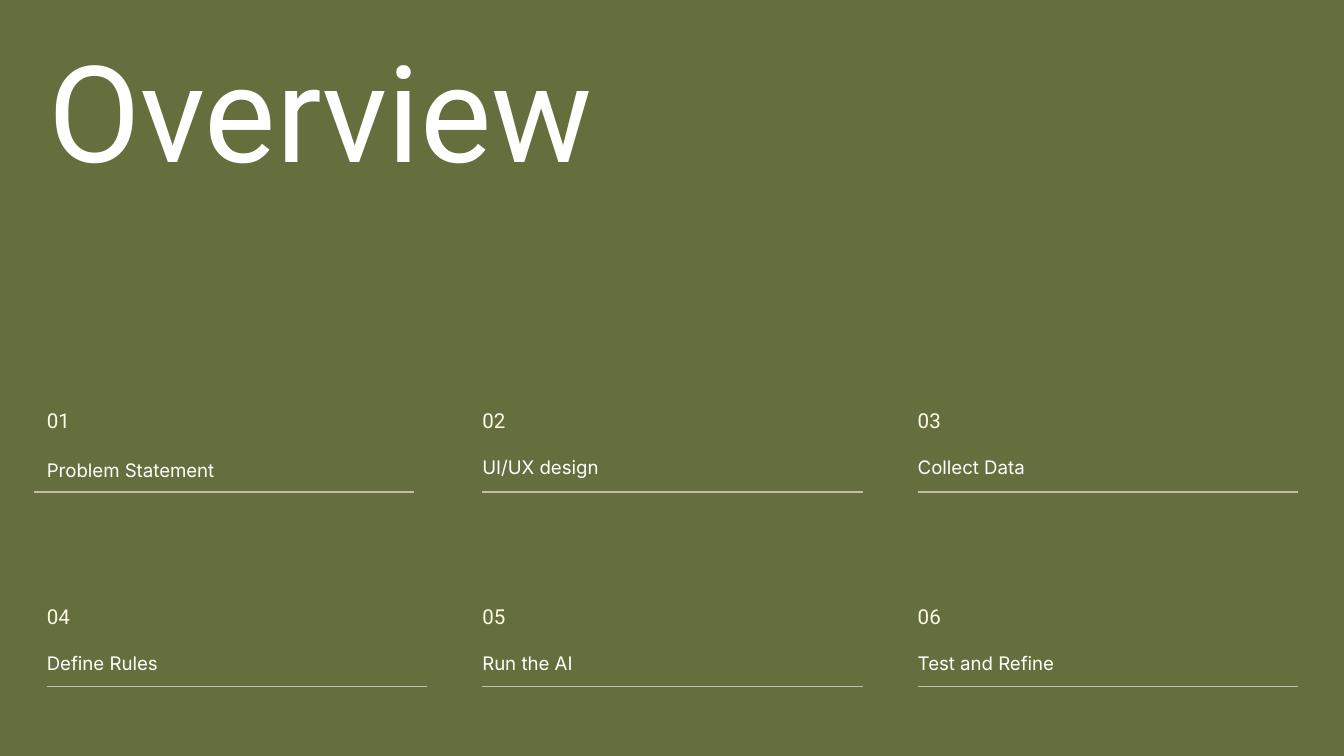
import pptx
import pptx.dml.color
import pptx.enum.shapes
import pptx.enum.text
import pptx.oxml.ns
import pptx.util
from lxml import etree
from pptx.dml.color import RGBColor
from pptx.util import Inches

OLIVE = RGBColor(0x64, 0x6F, 0x3D)
WHITE = RGBColor(0xFF, 0xFF, 0xFF)
CREAM = RGBColor(0xFF, 0xFA, 0xE6)
SAND = RGBColor(0xC4, 0xBE, 0xA7)

TOPICS = ["Problem Statement", "UI/UX design", "Collect Data",
          "Define Rules", "Run the AI", "Test and Refine"]
COLUMN_LEFTS = [0.25, 3.49, 6.73]
ROW_TOPS = [2.91, 4.37]
RULE_TOPS = [3.66, 5.11]
RULE_WIDTH = 2.83
INSET = 0.1


def format_text(box, text, size, font_name, color, spacing):
    """Fill a box with one left-aligned paragraph."""
    frame = box.text_frame
    frame.text = text
    frame.word_wrap = True
    frame.vertical_anchor = pptx.enum.text.MSO_ANCHOR.TOP
    frame.margin_left = frame.margin_right = Inches(INSET)
    frame.margin_top = frame.margin_bottom = Inches(INSET)
    para = frame.paragraphs[0]
    para.alignment = pptx.enum.text.PP_ALIGN.LEFT
    para.line_spacing = spacing
    para.space_before = pptx.util.Pt(0)
    para.font.size = pptx.util.Pt(size)
    para.font.name = font_name
    para.font.color.rgb = color


def set_title(page, text):
    """Place and format the title placeholder."""
    title = page.shapes.title
    title.left, title.top = Inches(0.26), Inches(0.34)
    title.width, title.height = Inches(9.42), Inches(0.64)
    format_text(title, text, 72, "Roboto", WHITE, 0.8)
    title.text_frame.auto_size = pptx.enum.text.MSO_AUTO_SIZE.NONE


def add_label(page, left, top, width, height, text, size, font_name, color):
    """Add a text box that grows with its text."""
    box = page.shapes.add_textbox(Inches(left), Inches(top), Inches(width), Inches(height))
    format_text(box, text, size, font_name, color, 1.15)
    box.text_frame.auto_size = pptx.enum.text.MSO_AUTO_SIZE.SHAPE_TO_FIT_TEXT


def add_rule(page, left, top):
    """Add the thin line under a topic."""
    rule = page.shapes.add_connector(
        pptx.enum.shapes.MSO_CONNECTOR.STRAIGHT,
        Inches(left), Inches(top), Inches(left + RULE_WIDTH), Inches(top))
    rule.line.color.rgb = SAND
    rule.line.width = pptx.util.Pt(0.75)
    etree.SubElement(rule._element.spPr, pptx.oxml.ns.qn("a:effectLst"))


def add_topic(page, index, text):
    """Add a numbered topic in its grid cell."""
    row, column = divmod(index, len(COLUMN_LEFTS))
    left, top = COLUMN_LEFTS[column], ROW_TOPS[row]
    is_first = index == 0
    name_top = top + (0.38 if is_first else 0.36)
    rule_left = left if is_first else left + INSET
    add_label(page, left, top, 0.51, 0.39, f"{index + 1:02d}", 11, "Roboto", CREAM)
    add_label(page, left, name_top, 3.02, 0.37, text, 10, "Inter", WHITE)
    add_rule(page, rule_left, RULE_TOPS[row])


def main():
    """Build the overview slide."""
    deck = pptx.Presentation()
    deck.slide_width = Inches(10)
    deck.slide_height = deck.slide_width * 9 // 16
    page = deck.slides.add_slide(deck.slide_layouts.get_by_name("Title Only"))
    page.background.fill.solid()
    page.background.fill.fore_color.rgb = OLIVE
    set_title(page, "Overview")
    for index, text in enumerate(TOPICS):
        add_topic(page, index, text)
    deck.save("out.pptx")


if __name__ == "__main__":
    main()
